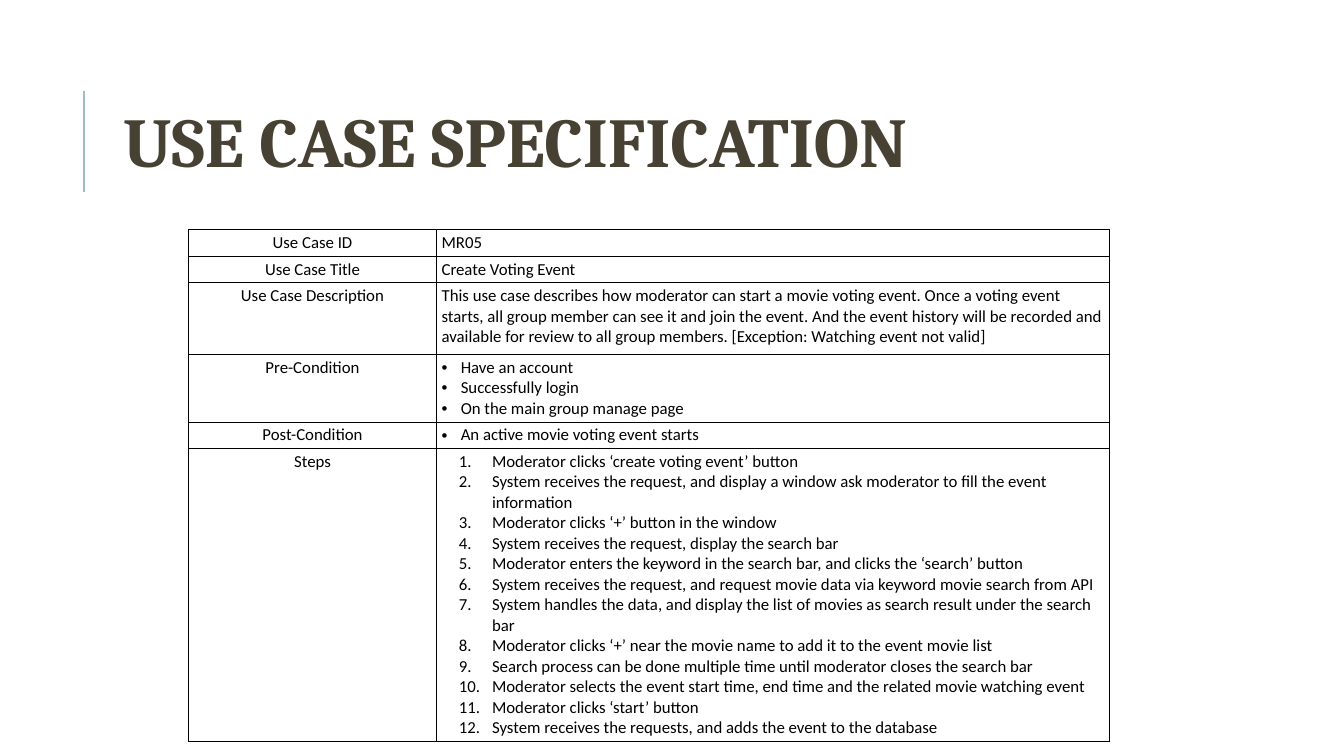
import pptx
import pptx.dml.color
import pptx.enum.shapes
import pptx.enum.text
import pptx.oxml
import pptx.oxml.ns
import pptx.util
from lxml import etree
from pptx.util import Inches

BLACK = pptx.dml.color.RGBColor(0x00, 0x00, 0x00)
TITLE_BROWN = pptx.dml.color.RGBColor(0x46, 0x41, 0x32)
RULE_TEAL = pptx.dml.color.RGBColor(0x9C, 0xBE, 0xBD)

TITLE_FONT = {"name": "Cambria", "size": pptx.util.Pt(50), "bold": True}
TABLE_FONT = {"name": "Calibri", "size": pptx.util.Pt(12), "bold": False}
CELL_MARGINS = {
    "margin_left": Inches(0.05), "margin_right": Inches(0.05),
    "margin_top": Inches(0.03), "margin_bottom": Inches(0.03),
}

# Marker element, left margin and hanging indent of each list kind
LIST_STYLES = {
    "bullet": ("buChar", {"char": "•"}, Inches(0.19), Inches(-0.19)),
    "number": ("buAutoNum", {"type": "arabicPeriod"}, Inches(0.5), Inches(-0.33)),
}

COLUMN_WIDTHS = (2.46, 6.67)

# Row height, label, list kind, paragraphs
USE_CASE_ROWS = [
    (0.19, "Use Case ID", None, ["MR05"]),
    (0.19, "Use Case Title", None, ["Create Voting Event"]),
    (0.71, "Use Case Description", None, [
        "This use case describes how moderator can start a movie voting event. "
        "Once a voting event starts, all group member can see it and join the event. "
        "And the event history will be recorded and available for review to all "
        "group members. [Exception: Watching event not valid]",
    ]),
    (0.45, "Pre-Condition", "bullet", [
        "Have an account",
        "Successfully login",
        "On the main group manage page",
    ]),
    (0.19, "Post-Condition", "bullet", ["An active movie voting event starts"]),
    (2.65, "Steps", "number", [
        "Moderator clicks ‘create voting event’ button",
        "System receives the request, and display a window ask moderator to fill "
        "the event information",
        "Moderator clicks ‘+’ button in the window",
        "System receives the request, display the search bar",
        "Moderator enters the keyword in the search bar, and clicks the ‘search’ button",
        "System receives the request, and request movie data via keyword movie "
        "search from API",
        "System handles the data, and display the list of movies as search result "
        "under the search bar",
        "Moderator clicks ‘+’ near the movie name to add it to the event movie list",
        "Search process can be done multiple time until moderator closes the search bar",
        "Moderator selects the event start time, end time and the related movie "
        "watching event",
        "Moderator clicks ‘start’ button",
        "System receives the requests, and adds the event to the database",
    ]),
]


def set_attributes(target, values):
    for name, value in values.items():
        setattr(target, name, value)


def add_xml(parent, tag, **attributes):
    return etree.SubElement(parent, pptx.oxml.ns.qn(f"a:{tag}"), attributes)


def add_rule(slide):
    rule = slide.shapes.add_connector(
        pptx.enum.shapes.MSO_CONNECTOR.STRAIGHT,
        Inches(0.83), Inches(1.9), Inches(0.83), Inches(0.9))
    rule.line.color.rgb = RULE_TEAL
    rule.line.width = pptx.util.Pt(1.5)
    add_xml(rule._element.spPr, "effectLst")


def fill_title(slide, text):
    title = slide.shapes.title
    set_attributes(title, {
        "left": Inches(1.12), "top": Inches(0.64),
        "width": Inches(10.63), "height": Inches(1.64),
    })
    frame = title.text_frame
    frame.text = text
    set_attributes(frame, {
        "word_wrap": True,
        "auto_size": pptx.enum.text.MSO_AUTO_SIZE.NONE,
        "vertical_anchor": pptx.enum.text.MSO_ANCHOR.MIDDLE,
    })
    paragraph = frame.paragraphs[0]
    set_attributes(paragraph, {
        "alignment": pptx.enum.text.PP_ALIGN.LEFT, "line_spacing": 0.8})
    set_attributes(paragraph.font, TITLE_FONT)
    paragraph.font.color.rgb = TITLE_BROWN


def add_list_marker(paragraph, kind):
    tag, attributes, margin, indent = LIST_STYLES[kind]
    properties = paragraph._p.get_or_add_pPr()
    properties.set("marL", str(int(margin)))
    properties.set("indent", str(int(indent)))
    add_xml(add_xml(properties, "buClr"), "srgbClr", val=str(BLACK))
    add_xml(properties, "buFont", typeface="Arial" if kind == "bullet" else "Calibri")
    add_xml(properties, tag, **attributes)


def add_borders(cell):
    properties = cell._tc.get_or_add_tcPr()
    for position, side in enumerate(("lnL", "lnR", "lnT", "lnB")):
        border = add_xml(properties, side, w=str(int(pptx.util.Pt(0.75))))
        add_xml(add_xml(border, "solidFill"), "srgbClr", val=str(BLACK))
        properties.insert(position, border)


def fill_cell(cell, texts, alignment, list_kind=None):
    set_attributes(cell, CELL_MARGINS)
    cell.fill.background()
    add_borders(cell)
    frame = cell.text_frame
    frame.text = "\n".join(texts)
    for paragraph in frame.paragraphs:
        paragraph.alignment = alignment
        if list_kind:
            add_list_marker(paragraph, list_kind)
        set_attributes(paragraph.font, TABLE_FONT)
        paragraph.font.color.rgb = BLACK


def add_use_case_table(slide):
    table = slide.shapes.add_table(
        len(USE_CASE_ROWS), len(COLUMN_WIDTHS), Inches(1.87), Inches(2.28),
        Inches(sum(COLUMN_WIDTHS)), Inches(sum(row[0] for row in USE_CASE_ROWS))).table
    set_attributes(table, {"first_row": False, "horz_banding": False})
    for column, width in zip(table.columns, COLUMN_WIDTHS):
        column.width = Inches(width)
    for index, (height, label, list_kind, texts) in enumerate(USE_CASE_ROWS):
        table.rows[index].height = Inches(height)
        fill_cell(table.cell(index, 0), [label], pptx.enum.text.PP_ALIGN.CENTER)
        fill_cell(table.cell(index, 1), texts, pptx.enum.text.PP_ALIGN.LEFT, list_kind)


def main():
    presentation = pptx.Presentation()
    presentation.slide_width = Inches(13.33)
    presentation.slide_height = Inches(7.5)
    slide = presentation.slides.add_slide(presentation.slide_layouts[5])
    add_rule(slide)
    fill_title(slide, "USE CASE SPECIFICATION")
    add_use_case_table(slide)
    presentation.save("out.pptx")


if __name__ == "__main__":
    main()
